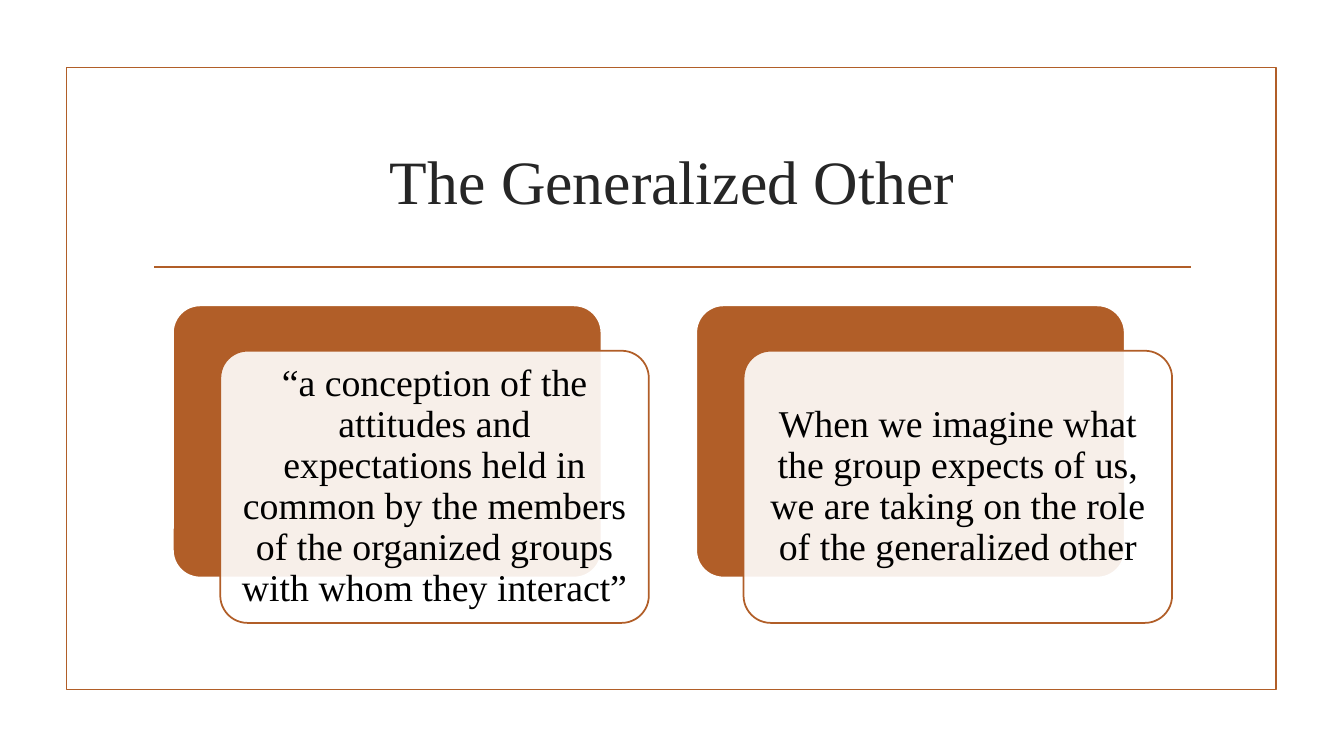
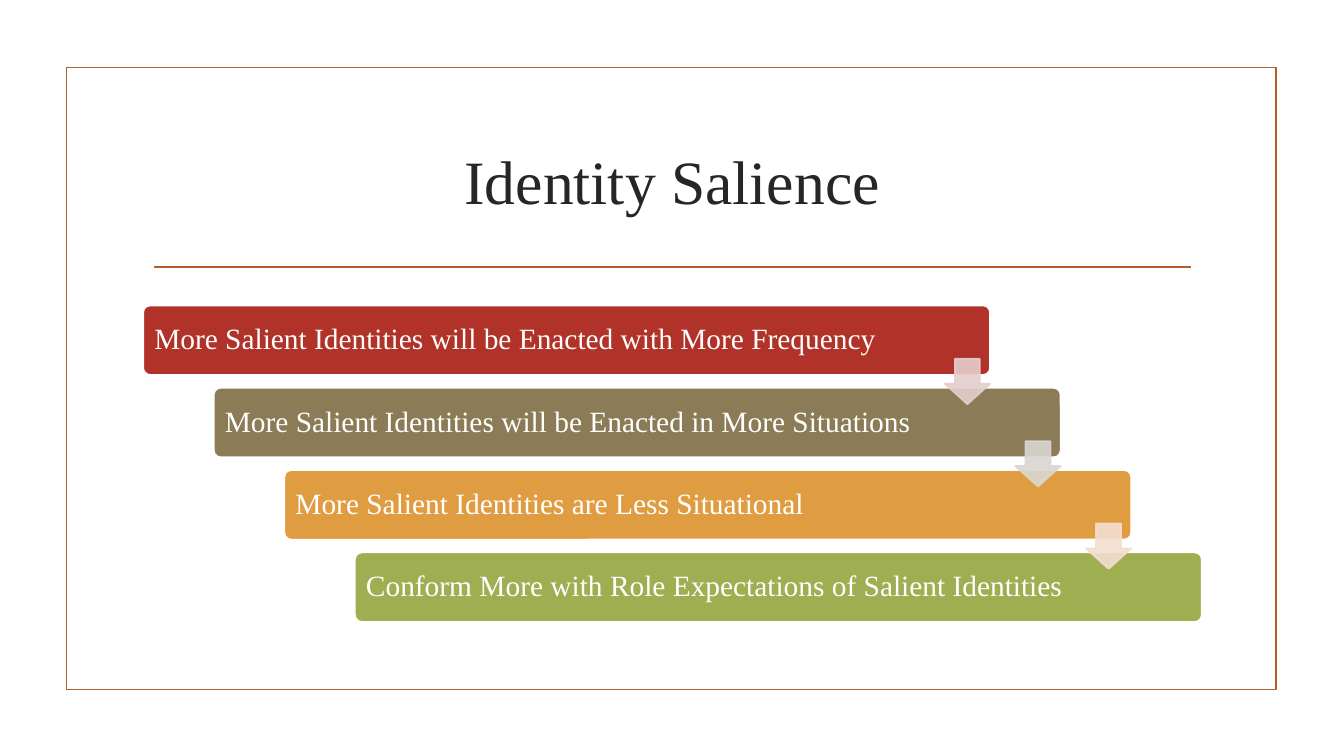
from collections import namedtuple

from lxml.etree import SubElement
from pptx import Presentation
from pptx.dml.color import RGBColor
from pptx.enum.shapes import MSO_CONNECTOR, MSO_SHAPE as Preset
from pptx.enum.text import MSO_ANCHOR as Anchor, PP_ALIGN as Align
from pptx.oxml.ns import qn
from pptx.util import Inches, Pt

Box = namedtuple("Box", "left top width height")

# Palette
RUST = RGBColor(0xB1, 0x5E, 0x28)
RED = RGBColor(0xB1, 0x32, 0x28)
OLIVE = RGBColor(0x8B, 0x7B, 0x56)
AMBER = RGBColor(0xE0, 0x9C, 0x41)
GREEN = RGBColor(0x9E, 0xAE, 0x51)
PINK_TINT = RGBColor(0xE4, 0xCE, 0xCD)
GREY_TINT = RGBColor(0xDA, 0xD7, 0xD1)
PEACH_TINT = RGBColor(0xF3, 0xDE, 0xCF)
CHARCOAL = RGBColor(0x26, 0x26, 0x26)
BLACK = RGBColor(0, 0, 0)
WHITE = RGBColor(0xFF, 0xFF, 0xFF)

# Shared geometry and line weight
FRAME = Box(0.66, 0.67, 12, 6.17)
TITLE = Box(1.42, 1.07, 10.5, 1.43)
BODY = Box(1.42, 3.03, 10.5, 3.14)
RULE_LEFT, RULE_RIGHT, RULE_TOP = 1.53, 11.81, 2.65
LINE_WIDTH = Pt(1.25)
CORNER = 0.1

# Text formats
TITLE_TEXT = {"size": Pt(44), "color": CHARCOAL, "align": Align.CENTER,
              "spacing": 1, "inset": 0.1}
CARD_TEXT = {"size": Pt(27), "color": BLACK, "align": Align.CENTER,
             "spacing": 0.9, "inset": 0.11}
BAR_TEXT = {"size": Pt(21), "color": WHITE, "align": Align.LEFT,
            "spacing": 0.9, "inset": 0.09}

# Slide content
CARDS = [
    "“a conception of the attitudes and expectations held in common by the "
    "members of the organized groups with whom they interact”",
    "When we imagine what the group expects of us, we are taking on the role "
    "of the generalized other",
]
STEPS = [
    ("More Salient Identities will be Enacted with More Frequency", RED),
    ("More Salient Identities will be Enacted in More Situations", OLIVE),
    ("More Salient Identities are Less Situational", AMBER),
    ("Conform More with Role Expectations of Salient Identities", GREEN),
]
ARROW_TINTS = [PINK_TINT, GREY_TINT, PEACH_TINT]


def set_attributes(target, values):
    for name, value in values.items():
        setattr(target, name, value)


def inches(box):
    return [Inches(length) for length in box]


def write(holder, text, style):
    frame = holder.text_frame
    inset = Inches(style["inset"])
    set_attributes(frame, {
        "text": text, "word_wrap": True, "vertical_anchor": Anchor.MIDDLE,
        "margin_left": inset, "margin_right": inset,
        "margin_top": inset, "margin_bottom": inset})
    paragraph = frame.paragraphs[0]
    set_attributes(paragraph, {"alignment": style["align"],
                               "line_spacing": style["spacing"]})
    font = paragraph.runs[0].font
    set_attributes(font, {"name": "Times New Roman", "size": style["size"]})
    font.color.rgb = style["color"]


def add_preset(slide, preset, box, fill, line, adjustments=()):
    shape = slide.shapes.add_shape(preset, *inches(box))
    shape.shadow.inherit = False
    if fill is None:
        shape.fill.background()
    else:
        shape.fill.solid()
        shape.fill.fore_color.rgb = fill
    shape.line.color.rgb = line
    shape.line.width = LINE_WIDTH
    for index, value in enumerate(adjustments):
        shape.adjustments[index] = value
    return shape


def make_translucent(properties, percent=90):
    color = properties.find(qn("a:solidFill")).find(qn("a:srgbClr"))
    SubElement(color, qn("a:alpha")).set("val", str(percent * 1000))


def add_titled_slide(deck, title):
    """Slide with the shared frame, title and rule."""
    slide = deck.slides.add_slide(deck.slide_layouts[6])
    add_preset(slide, Preset.RECTANGLE, FRAME, None, RUST)
    rule = slide.shapes.add_connector(
        MSO_CONNECTOR.STRAIGHT, Inches(RULE_LEFT), Inches(RULE_TOP),
        Inches(RULE_RIGHT), Inches(RULE_TOP))
    rule.line.color.rgb = RUST
    rule.line.width = LINE_WIDTH
    SubElement(rule._element.spPr, qn("a:effectLst"))
    write(slide.shapes.add_textbox(*inches(TITLE)), title, TITLE_TEXT)
    return slide


def add_layered_cards(slide, box, texts):
    """Row of cards, each a translucent panel over an offset backing."""
    width, height, shift_x, shift_y, gap = 4.25, 2.7, 0.47, 0.45, 0.47
    pitch = width + shift_x + gap
    left = box.left + (box.width - len(texts) * pitch + gap) / 2
    for index, text in enumerate(texts):
        backing = Box(left + index * pitch, box.top, width, height)
        panel = backing._replace(left=backing.left + shift_x,
                                 top=backing.top + shift_y)
        add_preset(slide, Preset.ROUNDED_RECTANGLE, backing, RUST, WHITE, [CORNER])
        card = add_preset(slide, Preset.ROUNDED_RECTANGLE, panel, WHITE, RUST, [CORNER])
        make_translucent(card._element.spPr)
        write(card, text, CARD_TEXT)


def add_staircase(slide, box, steps, tints):
    """Descending bars that fill the box, linked by down arrows."""
    width, height, arrow, arrow_drop = 8.4, 0.69, 0.45, 0.53
    step_x = (box.width - width) / (len(steps) - 1)
    step_y = (box.height - height) / (len(steps) - 1)
    bars = [Box(box.left + index * step_x, box.top + index * step_y, width, height)
            for index in range(len(steps))]
    for bar, (text, color) in zip(bars, steps):
        step = add_preset(slide, Preset.ROUNDED_RECTANGLE, bar, color, WHITE, [CORNER])
        write(step, text, BAR_TEXT)
    # Arrows lie above all the bars
    for bar, tint in zip(bars, tints):
        place = Box(bar.left + width - arrow, bar.top + arrow_drop, arrow, arrow)
        # Adjustments run shaft width, then head length
        link = add_preset(slide, Preset.DOWN_ARROW, place, tint, tint, [0.55, 0.45])
        properties = link._element.spPr
        make_translucent(properties)
        make_translucent(properties.find(qn("a:ln")))


def main():
    deck = Presentation()
    set_attributes(deck, {"slide_width": Inches(13.33), "slide_height": Inches(7.5)})
    add_layered_cards(add_titled_slide(deck, "The Generalized Other"), BODY, CARDS)
    add_staircase(add_titled_slide(deck, "Identity Salience"), BODY, STEPS, ARROW_TINTS)
    deck.save("out.pptx")


if __name__ == "__main__":
    main()
